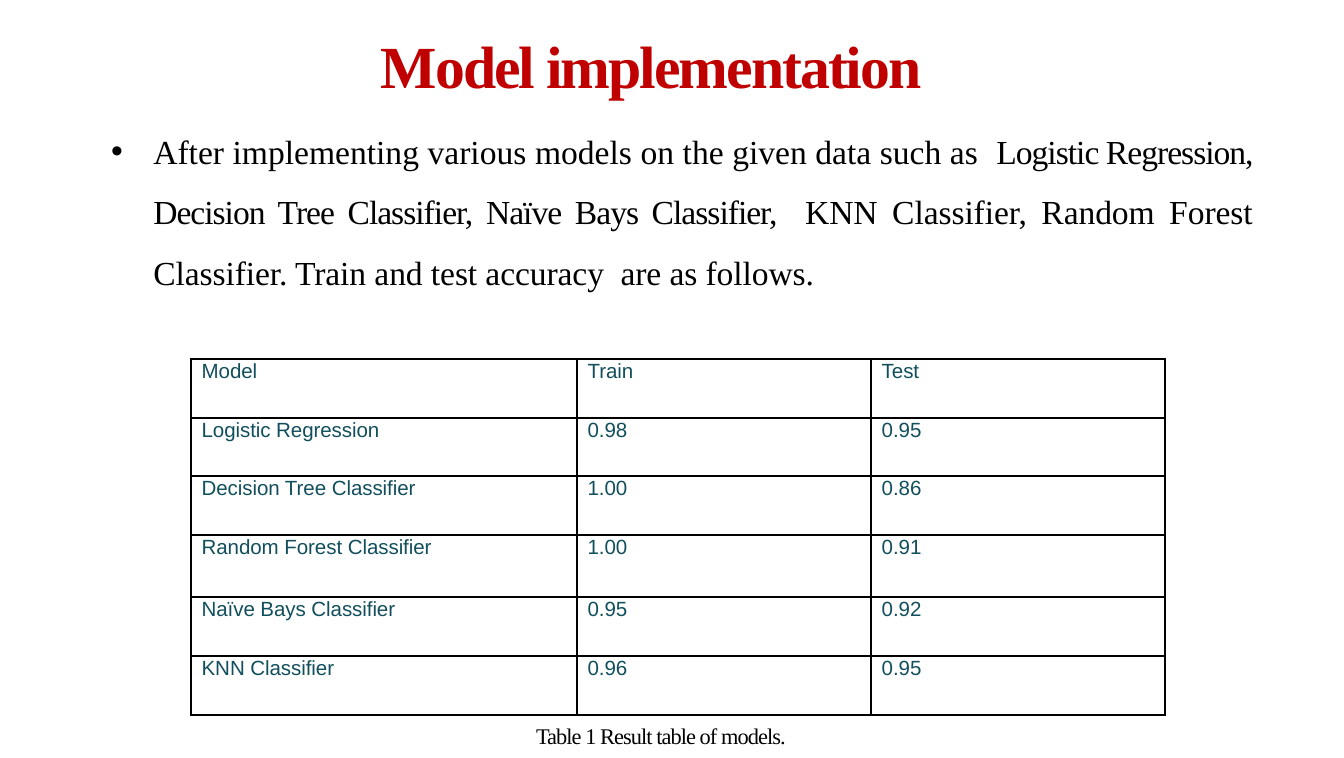
from lxml import etree
from pptx import Presentation
from pptx.dml.color import RGBColor
from pptx.enum.text import MSO_AUTO_SIZE, PP_ALIGN
from pptx.oxml.ns import qn
from pptx.util import Pt

LEFT, CENTER, JUSTIFY = PP_ALIGN.LEFT, PP_ALIGN.CENTER, PP_ALIGN.JUSTIFY
FIT_TEXT = MSO_AUTO_SIZE.SHAPE_TO_FIT_TEXT
RED = RGBColor(0xC0, 0x00, 0x00)
BLACK = RGBColor(0x00, 0x00, 0x00)
TEAL = RGBColor(0x12, 0x4F, 0x5C)
SERIF, SANS = "Times New Roman", "Arial"

COLUMN_WIDTHS = [206.8, 157.6, 157.6]
ROW_HEIGHTS = [31.6, 31.3, 31.6, 33.2, 31.5, 31.5]
RESULTS = [
    ("Model", "Train", "Test"),
    ("Logistic Regression", "0.98", "0.95"),
    ("Decision Tree Classifier", "1.00", "0.86"),
    ("Random Forest Classifier", "1.00", "0.91"),
    ("Naïve Bays Classifier", "0.95", "0.92"),
    ("KNN Classifier", "0.96", "0.95"),
]
INTRODUCTION = [
    ("After implementing various models on the given data such as  ", 0),
    ("Logistic Regression, Decision Tree Classifier, Naïve Bays Classifier,  ", -0.55),
    ("KNN Classifier, Random Forest Classifier. "
     "Train and test accuracy  are as follows.", -0.05),
]


class SlideBuilder:
    def __init__(self, slide):
        self.slide = slide

    def format_run(self, run, font, size, color, bold=False, spacing=0):
        run.font.name = font
        run.font.size = Pt(size)
        run.font.color.rgb = color
        run.font.bold = bold
        run.font._element.set("spc", str(round(spacing * 100)))

    def text(self, box, segments, size, color=BLACK, align=LEFT, bold=False):
        shape = self.slide.shapes.add_textbox(*map(Pt, box))
        frame = shape.text_frame
        frame.word_wrap = True
        frame.auto_size = FIT_TEXT
        frame.margin_left = frame.margin_right = frame.margin_bottom = 0
        frame.margin_top = Pt(0.9)
        paragraph = frame.paragraphs[0]
        paragraph.alignment = align
        paragraph.space_before = Pt(1)
        for content, spacing in segments:
            run = paragraph.add_run()
            run.text = content
            self.format_run(run, SERIF, size, color, bold, spacing)
        return paragraph

    def bullet(self, box, segments, size):
        paragraph = self.text(box, segments, size, align=JUSTIFY)
        paragraph.line_spacing = 1.5
        properties = paragraph._p.get_or_add_pPr()
        properties.set("marL", str(Pt(23.8)))
        properties.set("indent", str(Pt(-22.6)))
        etree.SubElement(properties, qn("a:buFont"), typeface=SANS)
        etree.SubElement(properties, qn("a:buChar"), char="•")

    def border(self, cell):
        properties = cell._tc.get_or_add_tcPr()
        for side in ("lnL", "lnR", "lnT", "lnB"):
            line = etree.SubElement(properties, qn(f"a:{side}"), w=str(Pt(1)))
            fill = etree.SubElement(line, qn("a:solidFill"))
            etree.SubElement(fill, qn("a:srgbClr"), val=str(BLACK))

    def cell(self, cell, content):
        self.border(cell)
        cell.fill.background()
        cell.margin_left = cell.margin_right = 0
        cell.margin_top = cell.margin_bottom = 0
        cell.text_frame.text = content
        paragraph = cell.text_frame.paragraphs[0]
        paragraph.line_spacing = Pt(12.7)
        paragraph._p.get_or_add_pPr().set("marL", str(Pt(5.7)))
        self.format_run(paragraph.runs[0], SANS, 11, TEAL, spacing=-0.05)

    def table(self, left, top, widths, heights, rows):
        box = map(Pt, (left, top, sum(widths), sum(heights)))
        table = self.slide.shapes.add_table(len(heights), len(widths), *box).table
        table.first_row = table.horz_banding = False
        for column, width in zip(table.columns, widths):
            column.width = Pt(width)
        for row, height, values in zip(table.rows, heights, rows):
            row.height = Pt(height)
            for cell, value in zip(row.cells, values):
                self.cell(cell, value)


def main():
    presentation = Presentation()
    presentation.slide_width = Pt(720)
    presentation.slide_height = Pt(406)
    slide = presentation.slides.add_slide(presentation.slide_layouts[6])
    builder = SlideBuilder(slide)
    builder.text((49.7, 14.4, 598.3, 40.3), [("Model implementation", -1.1)],
                 32, RED, CENTER, bold=True)
    builder.bullet((58.3, 58.3, 612.7, 95), INTRODUCTION, 18)
    builder.table(102.3, 192.2, COLUMN_WIDTHS, ROW_HEIGHTS, RESULTS)
    builder.text((287.2, 385.9, 180, 15.8), [("Table 1 Result table of models.", -0.5)], 12)
    presentation.save("out.pptx")


if __name__ == "__main__":
    main()
